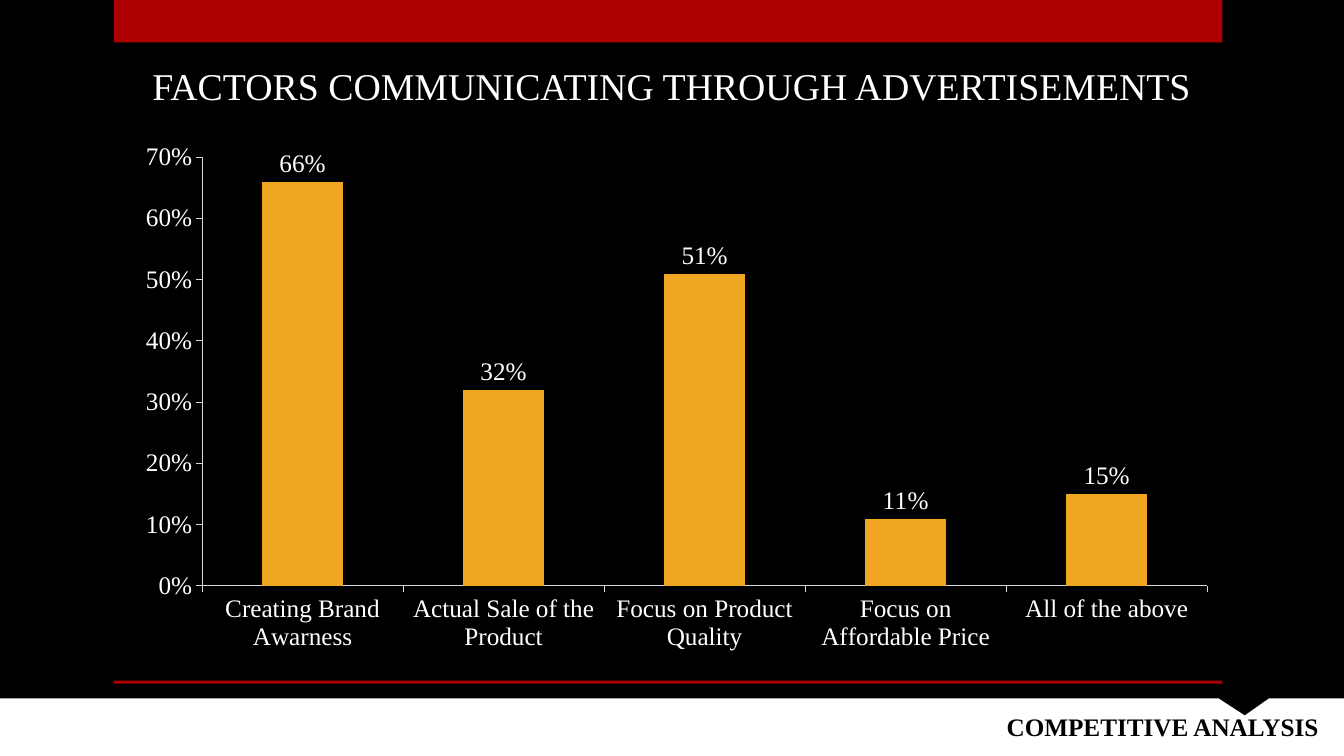
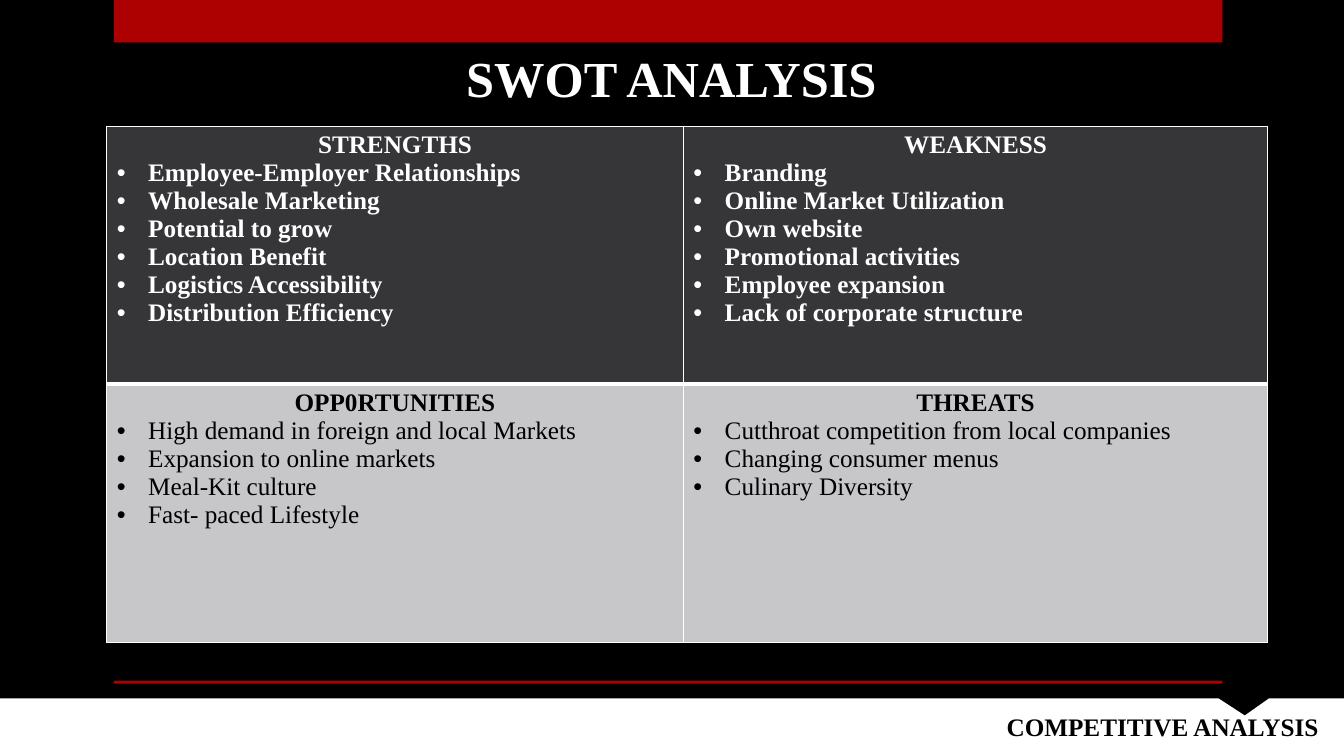
"""Build a two-slide competitive analysis deck: an advertising chart and a SWOT table."""
from lxml import etree
from pptx import Presentation
from pptx.chart.data import CategoryChartData
from pptx.dml.color import RGBColor
from pptx.enum.chart import XL_CHART_TYPE, XL_LABEL_POSITION, XL_TICK_MARK
from pptx.enum.shapes import MSO_SHAPE
from pptx.enum.text import MSO_ANCHOR, PP_ALIGN
from pptx.oxml.ns import qn
from pptx.util import Cm, Pt

COLUMNS = XL_CHART_TYPE.COLUMN_CLUSTERED
OUTSIDE_END = XL_LABEL_POSITION.OUTSIDE_END
TICK_OUT = XL_TICK_MARK.OUTSIDE
RECT = MSO_SHAPE.RECTANGLE
BOTTOM = MSO_ANCHOR.BOTTOM
CENTER, LEFT, RIGHT = PP_ALIGN.CENTER, PP_ALIGN.LEFT, PP_ALIGN.RIGHT

FONT = "Times New Roman"
COLORS = {
    "black": "000000", "white": "FFFFFF", "red": "AD0101", "bar": "F0A622",
    "axis": "D9D9D9", "dark": "363639", "light": "C7C7CA",
}
WIDTH, HEIGHT = 33.87, 19.05
BANDS = [(0, 1.07), (17.15, 0.08)]
FOOTER_TOP = 17.6
FOOTER_OUTLINE = [
    (30.71, FOOTER_TOP), (31.37, 18.03), (31.98, FOOTER_TOP),
    (WIDTH, FOOTER_TOP), (WIDTH, HEIGHT), (0, HEIGHT),
]
TITLES = [
    ("FACTORS COMMUNICATING THROUGH ADVERTISEMENTS", 27, False),
    ("SWOT ANALYSIS", 36, True),
]
FACTORS = {
    "Creating Brand Awarness": 0.66,
    "Actual Sale of the Product": 0.32,
    "Focus on Product Quality": 0.51,
    "Focus on Affordable Price": 0.11,
    "All of the above": 0.15,
}
SWOT = [
    [
        ["STRENGTHS", "Employee-Employer Relationships", "Wholesale Marketing",
         "Potential to grow", "Location Benefit", "Logistics Accessibility",
         "Distribution Efficiency"],
        ["WEAKNESS", "Branding", "Online Market Utilization", "Own website",
         "Promotional activities", "Employee expansion", "Lack of corporate structure"],
    ],
    [
        ["OPP0RTUNITIES", "High demand in foreign and local Markets",
         "Expansion to online markets", "Meal-Kit culture", "Fast- paced Lifestyle"],
        ["THREATS", "Cutthroat competition from local companies",
         "Changing consumer menus", "Culinary Diversity"],
    ],
]
ROW_STYLES = [
    {"fill": "dark", "text": "white", "bold": True, "borders": {"L": 1, "R": 1, "T": 1, "B": 3}},
    {"fill": "light", "text": "black", "bold": False, "borders": {"L": 1, "R": 1, "T": 3, "B": 1}},
]


def rgb(name):
    """Return the named palette colour."""
    return RGBColor.from_string(COLORS[name])


def write(p, text, size, color, bold, align):
    """Add one formatted run to a paragraph."""
    p.alignment = align
    r = p.add_run()
    r.text = text
    for key, value in {"name": FONT, "size": Pt(size), "bold": bold}.items():
        setattr(r.font, key, value)
    r.font.color.rgb = rgb(color)


prs = Presentation()
prs.slide_width, prs.slide_height = Cm(WIDTH), Cm(HEIGHT)
background = prs.slide_master.background.fill
background.solid()
background.fore_color.rgb = rgb("black")

slides = []
for text, size, bold in TITLES:
    s = prs.slides.add_slide(prs.slide_layouts[5])
    slides.append(s)
    decor = [(s.shapes.add_shape(RECT, Cm(2.87), Cm(top), Cm(27.94), Cm(height)), "red")
             for top, height in BANDS]
    outline = s.shapes.build_freeform(Cm(0), Cm(FOOTER_TOP))
    outline.add_line_segments([(Cm(x), Cm(y)) for x, y in FOOTER_OUTLINE])
    decor.append((outline.convert_to_shape(), "white"))
    for sp, color in decor:
        sp.shadow.inherit = False
        sp.fill.solid()
        sp.fill.fore_color.rgb = rgb(color)
        sp.line.fill.background()

    title = s.shapes.title
    title.left, title.top, title.width, title.height = Cm(2.87), Cm(0.38), Cm(28.1), Cm(2.46)
    title.text_frame.vertical_anchor = BOTTOM
    title.text_frame.word_wrap = True
    write(title.text_frame.paragraphs[0], text, size, "white", bold, CENTER)

    footer = s.shapes.add_textbox(Cm(16.26), Cm(17.81), Cm(17.22), Cm(1.02))
    footer.text_frame.word_wrap = True
    write(footer.text_frame.paragraphs[0], "COMPETITIVE ANALYSIS", 18, "black", True, RIGHT)

chart_slide, swot_slide = slides

data = CategoryChartData(number_format="0%")
data.categories = list(FACTORS)
data.add_series("Series 1", list(FACTORS.values()))
chart = chart_slide.shapes.add_chart(
    COLUMNS, Cm(3.12), Cm(3.35), Cm(27.86), Cm(13.31), data).chart
chart.has_legend = False
chart.has_title = False
chart.font.name = FONT
chart.font.size = Pt(18)
chart.font.color.rgb = rgb("white")

for axis in (chart.category_axis, chart.value_axis):
    axis.has_major_gridlines = False
    axis.major_tick_mark = TICK_OUT
    axis.format.line.color.rgb = rgb("axis")
    axis.format.line.width = Pt(0.75)
scale = {"minimum_scale": 0, "maximum_scale": 0.7, "major_unit": 0.1}
for key, value in scale.items():
    setattr(chart.value_axis, key, value)
chart.value_axis.tick_labels.number_format = "0%"
chart.value_axis.tick_labels.number_format_is_linked = False

plot = chart.plots[0]
plot.gap_width = 150
plot.vary_by_categories = False
plot.has_data_labels = True
label_format = {"show_value": True, "number_format": "0%",
                "number_format_is_linked": False, "position": OUTSIDE_END}
for key, value in label_format.items():
    setattr(plot.data_labels, key, value)
bars = plot.series[0].format.fill
bars.solid()
bars.fore_color.rgb = rgb("bar")

table = swot_slide.shapes.add_table(2, 2, Cm(2.69), Cm(3.18), Cm(29.26), Cm(13)).table
for column, width in zip(table.columns, (14.53, 14.73)):
    column.width = Cm(width)
for row, texts, style in zip(table.rows, SWOT, ROW_STYLES):
    row.height = Cm(6.5)
    for cell, (heading, *items) in zip(row.cells, texts):
        cell.fill.solid()
        cell.fill.fore_color.rgb = rgb(style["fill"])
        tc_pr = cell.fill._xPr
        for i, (side, width) in enumerate(style["borders"].items()):
            ln = etree.Element(qn(f"a:ln{side}"), w=str(Pt(width)))
            solid = etree.SubElement(ln, qn("a:solidFill"))
            etree.SubElement(solid, qn("a:srgbClr"), val=COLORS["white"])
            tc_pr.insert(i, ln)
        tf = cell.text_frame
        write(tf.paragraphs[0], heading, 18, style["text"], True, CENTER)
        for item in items:
            p = tf.add_paragraph()
            write(p, item, 18, style["text"], style["bold"], LEFT)
            p_pr = p._p.get_or_add_pPr()
            p_pr.set("marL", str(Cm(0.79)))
            p_pr.set("indent", str(-Cm(0.79)))
            etree.SubElement(p_pr, qn("a:buFont"), typeface="Arial")
            etree.SubElement(p_pr, qn("a:buChar"), char="•")

prs.save("out.pptx")
